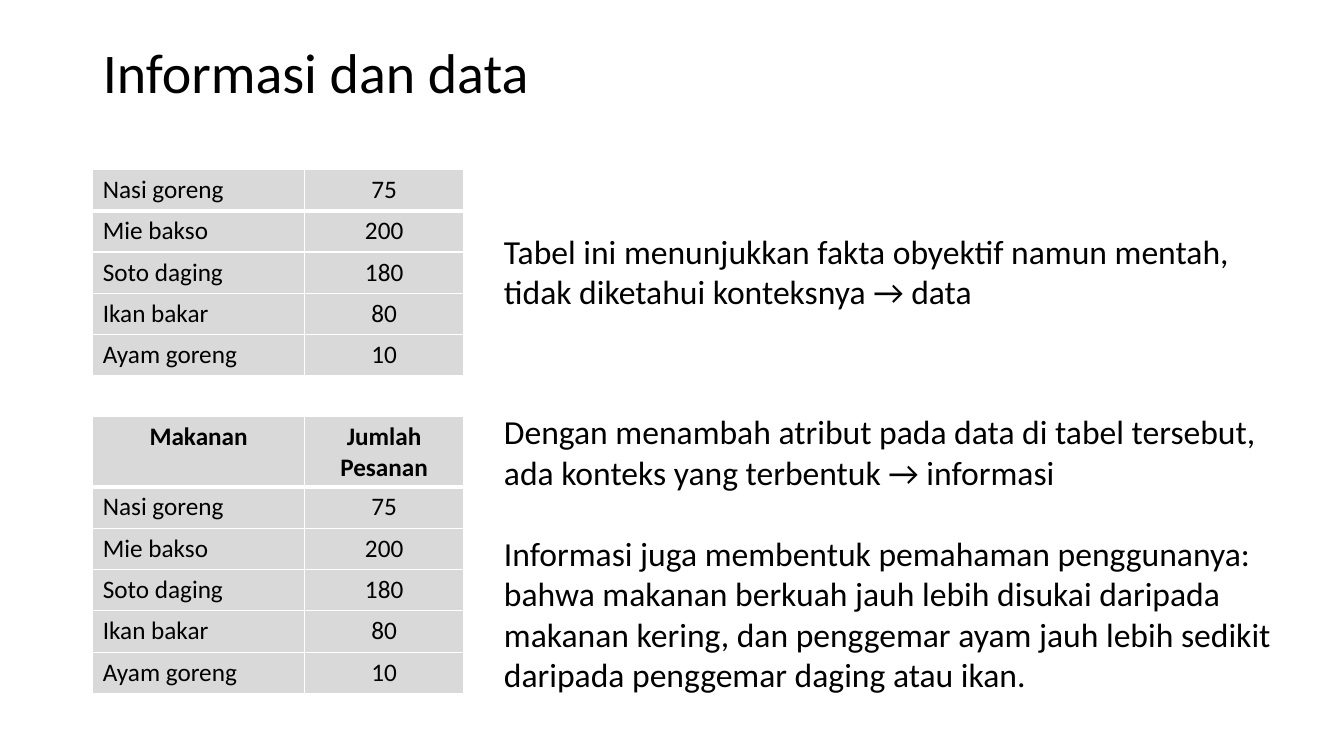
from dataclasses import dataclass

from lxml.etree import SubElement
from pptx import Presentation
from pptx.dml.color import RGBColor
from pptx.enum.text import MSO_ANCHOR, MSO_AUTO_SIZE, PP_ALIGN
from pptx.oxml.ns import qn
from pptx.util import Inches, Pt

COLORS = {"text": "000000", "cell": "D9D9D9", "border": "FFFFFF"}
FONT = "Calibri"
LEFT = 0.92
COLUMN_WIDTHS = (2.1, 1.58)
ROW_HEIGHT = 0.41
PARAGRAPH_GAP = 29.3

HEADER = ("Makanan", "Jumlah Pesanan")
ORDERS = (
    ("Nasi goreng", "75"),
    ("Mie bakso", "200"),
    ("Soto daging", "180"),
    ("Ikan bakar", "80"),
    ("Ayam goreng", "10"),
)


@dataclass
class OrderTable:
    top: float
    height: float
    rows: tuple
    has_header: bool


@dataclass
class Explanation:
    top: float
    width: float
    height: float
    blocks: tuple


TABLES = (
    OrderTable(1.68, 2.03, ORDERS, False),
    OrderTable(4.13, 2.73, (HEADER, *ORDERS), True),
)
EXPLANATIONS = (
    Explanation(2.24, 7.46, 0.91, (
        ("Tabel ini menunjukkan fakta obyektif namun mentah,",
         "tidak diketahui konteksnya → data"),
    )),
    Explanation(4.03, 7.88, 2.93, (
        ("Dengan menambah atribut pada data di tabel tersebut,",
         "ada konteks yang terbentuk → informasi"),
        ("Informasi juga membentuk pemahaman penggunanya:",
         "bahwa makanan berkuah jauh lebih disukai daripada",
         "makanan kering, dan penggemar ayam jauh lebih sedikit",
         "daripada penggemar daging atau ikan."),
    )),
)


def write(para, text: str, size: float, bold: bool = False) -> None:
    span = para.add_run()
    span.text = text
    for name, value in {"name": FONT, "size": Pt(size), "bold": bold}.items():
        setattr(span.font, name, value)
    span.font.color.rgb = RGBColor.from_string(COLORS["text"])


def add_borders(cell, row_index: int) -> None:
    """Draw thin borders, with a thick one between the first two rows."""
    widths = {
        "L": 1,
        "R": 1,
        "T": 3 if row_index == 1 else 1,
        "B": 3 if row_index == 0 else 1,
    }
    properties = cell._tc.get_or_add_tcPr()
    for side, width in widths.items():
        line = SubElement(properties, qn(f"a:ln{side}"), w=str(Pt(width)))
        fill = SubElement(line, qn("a:solidFill"))
        SubElement(fill, qn("a:srgbClr"), val=COLORS["border"])


def add_order_table(slide, spec_table: OrderTable) -> None:
    frame = slide.shapes.add_table(
        len(spec_table.rows), len(COLUMN_WIDTHS), Inches(LEFT), Inches(spec_table.top),
        Inches(sum(COLUMN_WIDTHS)), Inches(spec_table.height))
    table = frame.table
    table.first_row = spec_table.has_header
    table.horz_banding = False
    for column, width in zip(table.columns, COLUMN_WIDTHS):
        column.width = Inches(width)
    for row_index, texts in enumerate(spec_table.rows):
        table.rows[row_index].height = Inches(ROW_HEIGHT)
        is_header = spec_table.has_header and row_index == 0
        for column_index, text in enumerate(texts):
            cell = table.cell(row_index, column_index)
            add_borders(cell, row_index)
            cell.fill.solid()
            cell.fill.fore_color.rgb = RGBColor.from_string(COLORS["cell"])
            para = cell.text_frame.paragraphs[0]
            centred = is_header or column_index == 1
            para.alignment = PP_ALIGN.CENTER if centred else PP_ALIGN.LEFT
            write(para, text, 18, is_header)
    frame.height = Inches(spec_table.height)


def add_explanation(slide, explanation: Explanation) -> None:
    box = slide.shapes.add_textbox(
        Inches(4.9), Inches(explanation.top),
        Inches(explanation.width), Inches(explanation.height))
    frame = box.text_frame
    frame.word_wrap = False
    frame.auto_size = MSO_AUTO_SIZE.SHAPE_TO_FIT_TEXT
    for block_index, lines in enumerate(explanation.blocks):
        for line_index, line in enumerate(lines):
            is_first = block_index == line_index == 0
            para = frame.paragraphs[0] if is_first else frame.add_paragraph()
            if block_index > 0 and line_index == 0:
                para.space_before = Pt(PARAGRAPH_GAP)
            write(para, line, 24)


def add_title(slide, text: str) -> None:
    title = slide.shapes.title
    place = {"left": LEFT, "top": 0.25, "width": 11.5, "height": 1}
    for name, value in place.items():
        setattr(title, name, Inches(value))
    title.text_frame.vertical_anchor = MSO_ANCHOR.MIDDLE
    para = title.text_frame.paragraphs[0]
    para.alignment = PP_ALIGN.LEFT
    para.line_spacing = 0.9
    write(para, text, 40)


def main() -> None:
    deck = Presentation()
    deck.slide_width, deck.slide_height = Inches(13.33), Inches(7.5)
    page = deck.slides.add_slide(deck.slide_layouts[5])
    add_title(page, "Informasi dan data")
    for order_table, explanation in zip(TABLES, EXPLANATIONS):
        add_order_table(page, order_table)
        add_explanation(page, explanation)
    deck.save("out.pptx")


if __name__ == "__main__":
    main()
